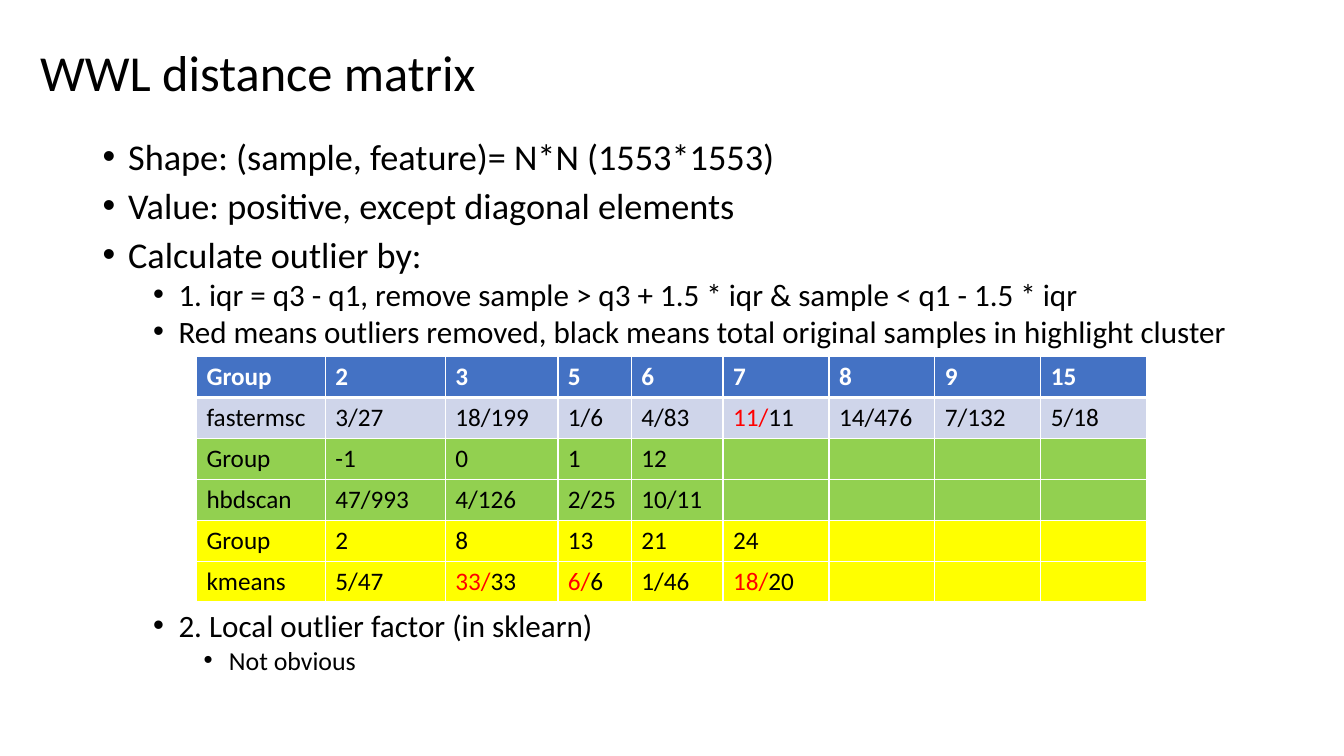
from lxml.etree import SubElement
from pptx import Presentation
from pptx.dml.color import RGBColor
from pptx.enum.text import MSO_ANCHOR
from pptx.oxml.ns import qn
from pptx.util import Cm, Pt

COLORS = {
    "text": "000000",
    "outlier": "FF0000",
    "white": "FFFFFF",
    "header": "4472C4",
    "fastermsc": "CFD5EA",
    "hbdscan": "92D050",
    "kmeans": "FFFF00",
}

# Per outline level: font size, space before (pt), left margin (cm)
LEVELS = [(25.9, 10, 0.64), (22.2, 5, 1.91), (18.5, 5, 3.18)]
HANGING = 0.64
TABLE_GAP = 189

# Level, text, space before where it differs from the level's own
OUTLINE = [
    (0, "Shape: (sample, feature)= N*N (1553*1553)", 0),
    (0, "Value: positive, except diagonal elements", None),
    (0, "Calculate outlier by:", None),
    (1, "1. iqr = q3 - q1, remove sample > q3 + 1.5 * iqr & sample < q1 - 1.5 * iqr", None),
    (1, "Red means outliers removed, black means total original samples in highlight cluster", None),
    (1, "2. Local outlier factor (in sklearn)", TABLE_GAP),
    (2, "Not obvious", None),
]

COLUMN_WIDTHS = [3.25, 3.02, 2.84, 1.85, 2.31] + [2.67] * 4
ROW_HEIGHT = 1.03
# Fill and cell texts; "*" marks a count shown as outliers
CLUSTER_ROWS = [
    ("header", ["Group", "2", "3", "5", "6", "7", "8", "9", "15"]),
    ("fastermsc", ["fastermsc", "3/27", "18/199", "1/6", "4/83", "*11/11", "14/476", "7/132", "5/18"]),
    ("hbdscan", ["Group", "-1", "0", "1", "12"]),
    ("hbdscan", ["hbdscan", "47/993", "4/126", "2/25", "10/11"]),
    ("kmeans", ["Group", "2", "8", "13", "21", "24"]),
    ("kmeans", ["kmeans", "5/47", "*33/33", "*6/6", "1/46", "*18/20"]),
]


class SlideBuilder:
    font_name = "Calibri"

    def __init__(self, slide):
        self.slide = slide

    def style(self, font, size, color="text", bold=False):
        font.name = self.font_name
        font.size = Pt(size)
        font.bold = bold
        font.color.rgb = RGBColor.from_string(COLORS[color])

    def text_frame(self, left, top, width, height):
        box = self.slide.shapes.add_textbox(Cm(left), Cm(top), Cm(width), Cm(height))
        box.text_frame.word_wrap = True
        return box.text_frame

    def title(self, text, *place):
        frame = self.text_frame(*place)
        frame.vertical_anchor = MSO_ANCHOR.MIDDLE
        paragraph = frame.paragraphs[0]
        paragraph.text = text
        paragraph.line_spacing = 0.9
        self.style(paragraph.font, 36)

    def outline(self, items, *place):
        frame = self.text_frame(*place)
        for index, (level, text, gap) in enumerate(items):
            paragraph = frame.add_paragraph() if index else frame.paragraphs[0]
            size, space_before, margin = LEVELS[level]
            paragraph.text = text
            paragraph.level = level
            paragraph.line_spacing = 0.8
            paragraph.space_before = Pt(space_before if gap is None else gap)
            properties = paragraph._p.get_or_add_pPr()
            properties.set("marL", str(Cm(margin)))
            properties.set("indent", str(-Cm(HANGING)))
            SubElement(properties, qn("a:buFont"), typeface="Arial")
            SubElement(properties, qn("a:buChar"), char="•")
            self.style(paragraph.font, size)

    def table(self, rows, widths, row_height, left, top):
        frame = self.slide.shapes.add_table(
            len(rows), len(widths), Cm(left), Cm(top), Cm(sum(widths)), Cm(row_height * len(rows)))
        table = frame.table
        for column, width in zip(table.columns, widths):
            column.width = Cm(width)
        for row_index, (fill, texts) in enumerate(rows):
            table.rows[row_index].height = Cm(row_height)
            for column_index in range(len(widths)):
                text = texts[column_index] if column_index < len(texts) else ""
                self.cell(table.cell(row_index, column_index), text, fill, row_index)

    def cell(self, cell, text, fill, row_index):
        is_header = row_index == 0
        paragraph = cell.text_frame.paragraphs[0]
        self.style(paragraph.font, 18, "white" if is_header else "text", is_header)
        if text.startswith("*"):
            outliers, total = text[1:].split("/")
            run = paragraph.add_run()
            run.text = outliers + "/"
            run.font.color.rgb = RGBColor.from_string(COLORS["outlier"])
            paragraph.add_run().text = total
        elif text:
            paragraph.add_run().text = text
        widths = {"lnL": 1, "lnR": 1, "lnT": 3 if row_index == 1 else 1, "lnB": 3 if is_header else 1}
        for side, width in widths.items():
            line = SubElement(cell._tc.get_or_add_tcPr(), qn("a:" + side), w=str(Pt(width)))
            solid = SubElement(line, qn("a:solidFill"))
            SubElement(solid, qn("a:srgbClr"), val=COLORS["white"])
        cell.fill.solid()
        cell.fill.fore_color.rgb = RGBColor.from_string(COLORS[fill])


def main():
    presentation = Presentation()
    presentation.slide_width = Cm(33.87)
    presentation.slide_height = Cm(19.05)
    builder = SlideBuilder(presentation.slides.add_slide(presentation.slide_layouts[6]))
    builder.title("WWL distance matrix", 0.76, 0.71, 12, 2.39)
    builder.outline(OUTLINE, 2.34, 3.48, 30.71, 14.58)
    builder.table(CLUSTER_ROWS, COLUMN_WIDTHS, ROW_HEIGHT, 4.95, 8.99)
    presentation.save("out.pptx")


if __name__ == "__main__":
    main()
